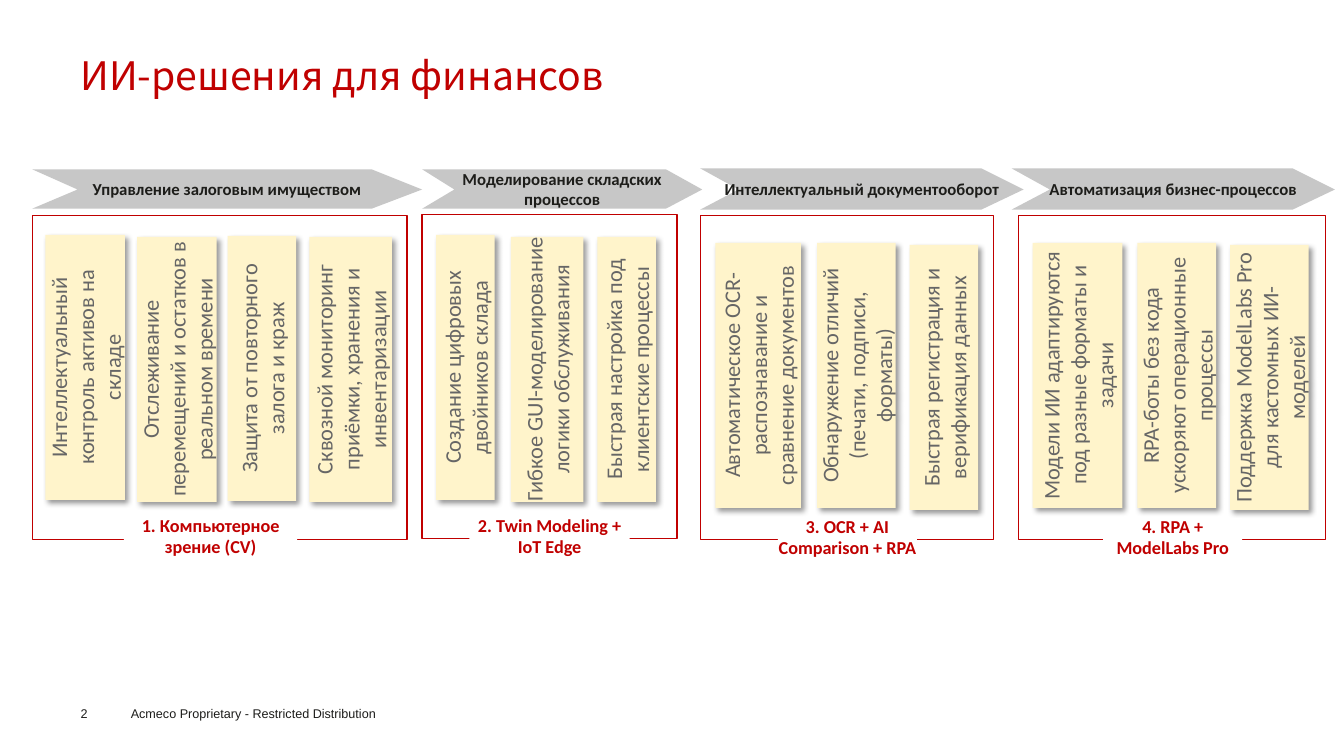
from lxml import etree
from pptx import Presentation
from pptx.dml.color import RGBColor
from pptx.enum.shapes import MSO_SHAPE
from pptx.enum.text import MSO_ANCHOR, PP_ALIGN
from pptx.oxml.ns import qn
from pptx.util import Pt

PX = 9144
RECT = MSO_SHAPE.RECTANGLE
TOP, MIDDLE = MSO_ANCHOR.TOP, MSO_ANCHOR.MIDDLE
LEFT, CENTER = PP_ALIGN.LEFT, PP_ALIGN.CENTER
RED, INK, GREY = "C00000", "1D1D1B", "666666"
BANNER_FILL, NOTE_FILL, WHITE = "C7C7C7", "FFF4CB", "FFFFFF"
NOTE_HEIGHT, FRAME_HEIGHT, LABEL_HEIGHT = 263, 321, 41

STAGES = [
    {
        "banner": ("Управление залоговым имуществом", (32, 168, 387, 39), 45, 50),
        "frame": (32, 214, 372),
        "notes": [
            ("Интеллектуальный контроль активов на складе", 45, 233, 79),
            ("Отслеживание перемещений и остатков в реальном времени", 136, 235, 79),
            ("Защита от повторного залога и краж", 226, 234, 68),
            ("Сквозной мониторинг приёмки, хранения и инвентаризации", 307, 235, 82),
        ],
        "label": ("1. Компьютерное зрение (CV)", 123, 523, 172, 28),
    },
    {
        "banner": ("Моделирование складских процессов", (419, 168, 278, 39), 32, 36),
        "frame": (419, 213, 253),
        "notes": [
            ("Создание цифровых двойников склада", 433, 233, 58),
            ("Гибкое GUI-моделирование логики обслуживания", 507, 235, 72),
            ("Быстрая настройка под клиентские процессы", 593, 235, 58),
        ],
        "label": ("2. Twin Modeling + IoT Edge", 466, 513, 159, 8),
    },
    {
        "banner": ("Интеллектуальный документооборот", (695, 167, 321, 41), 38, 42),
        "frame": (695, 214, 291),
        "notes": [
            ("Автоматическое OCR-распознавание и сравнение документов", 710, 241, 85),
            ("Обнаружение отличий (печати, подписи, форматы)", 811, 241, 78),
            ("Быстрая регистрация и верификация данных", 903, 243, 68),
        ],
        "label": ("3. OCR + AI Comparison + RPA", 772, 514, 138, 8),
    },
    {
        "banner": ("Автоматизация бизнес-процессов", (1004, 167, 321, 41), 38, 42),
        "frame": (1011, 214, 305),
        "notes": [
            ("Модели ИИ адаптируются под разные форматы и задачи", 1025, 241, 89),
            ("RPA-боты без кода ускоряют операционные процессы", 1129, 241, 78),
            ("Поддержка ModelLabs Pro для кастомных ИИ-моделей", 1221, 243, 78),
        ],
        "label": ("4. RPA + ModelLabs Pro", 1095, 514, 138, 8),
    },
]


def color(hex_code):
    return RGBColor.from_string(hex_code)


def write(shape, text, size, ink, font="Calibri", bold=False, align=CENTER,
          anchor=MIDDLE, insets=(0, 0, 0, 0)):
    frame = shape.text_frame
    frame.word_wrap = True
    frame.vertical_anchor = anchor
    (frame.margin_left, frame.margin_top,
     frame.margin_right, frame.margin_bottom) = (inset * PX for inset in insets)
    paragraph = frame.paragraphs[0]
    paragraph.alignment = align
    run = paragraph.add_run()
    run.text = text
    run.font.size = Pt(size)
    run.font.name = font
    run.font.bold = bold
    run.font.color.rgb = color(ink)
    for script in ("a:ea", "a:cs"):
        etree.SubElement(run.font._element, qn(script), typeface=font)


def paint(shape, fill=None, line=None):
    shape.shadow.inherit = False
    if fill:
        shape.fill.solid()
        shape.fill.fore_color.rgb = color(fill)
    else:
        shape.fill.background()
    if line:
        shape.line.color.rgb = color(line)
        shape.line.width = Pt(1)
    else:
        shape.line.fill.background()


def add_box(slide, left, top, width, height, **look):
    box = slide.shapes.add_shape(RECT, left * PX, top * PX, width * PX, height * PX)
    paint(box, **look)
    return box


def add_text(slide, text, left, top, width, height, **style):
    area = slide.shapes.add_textbox(left * PX, top * PX, width * PX, height * PX)
    write(area, text, **style)


def add_shadow(shape):
    effects = shape._element.spPr.find(qn("a:effectLst"))
    shadow = etree.SubElement(
        effects, qn("a:outerShdw"), blurRad=str(Pt(4)), dist=str(Pt(3)),
        dir="2700000", algn="tl", rotWithShape="0")
    tint = etree.SubElement(shadow, qn("a:srgbClr"), val="000000")
    etree.SubElement(tint, qn("a:alpha"), val="40000")


def add_banner(slide, text, bounds, notch, tip):
    left, top, width, height = bounds
    right, bottom, middle = left + width, top + height, top + height / 2
    outline = slide.shapes.build_freeform(left, top, scale=PX)
    outline.add_line_segments([
        (right - tip, top), (right, middle), (right - tip, bottom),
        (left, bottom), (left + notch, middle)], close=True)
    banner = outline.convert_to_shape()
    paint(banner, fill=BANNER_FILL)
    write(banner, text, size=12, ink="1D1D1A", bold=True, insets=(10, 5, 10, 5))


def add_note(slide, text, left, top, width):
    note = add_box(slide, left, top, width, NOTE_HEIGHT, fill=NOTE_FILL)
    add_shadow(note)
    write(note, text, size=16, ink=GREY)
    note.text_frame._txBody.bodyPr.set("vert", "vert270")


def add_label(slide, text, left, top, width, bottom_inset):
    label = add_box(slide, left, top, width, LABEL_HEIGHT, fill=WHITE)
    write(label, text, size=13, ink=RED, bold=True, insets=(0, 4, 0, bottom_inset))


def add_stage(slide, stage):
    add_banner(slide, *stage["banner"])
    add_box(slide, *stage["frame"], FRAME_HEIGHT, line=RED)
    for note in stage["notes"]:
        add_note(slide, *note)
    add_label(slide, *stage["label"])


def main():
    deck = Presentation()
    deck.slide_width, deck.slide_height = 1334 * PX, 750 * PX
    slide = deck.slides.add_slide(deck.slide_layouts[6])
    add_text(slide, "ИИ-решения для финансов", 80, 50, 1175, 48,
             size=28, ink=RED, font="Noto Sans CJK SC", align=LEFT)
    for stage in STAGES:
        add_stage(slide, stage)
    footer = {"size": 9, "ink": INK, "font": "Arial", "align": LEFT, "anchor": TOP}
    add_text(slide, "2", 80, 700, 55, 15, **footer)
    add_text(slide, "Acmeco Proprietary - Restricted Distribution",
             120, 695, 383, 25, insets=(10, 5, 10, 5), **footer)
    deck.save("out.pptx")


if __name__ == "__main__":
    main()
